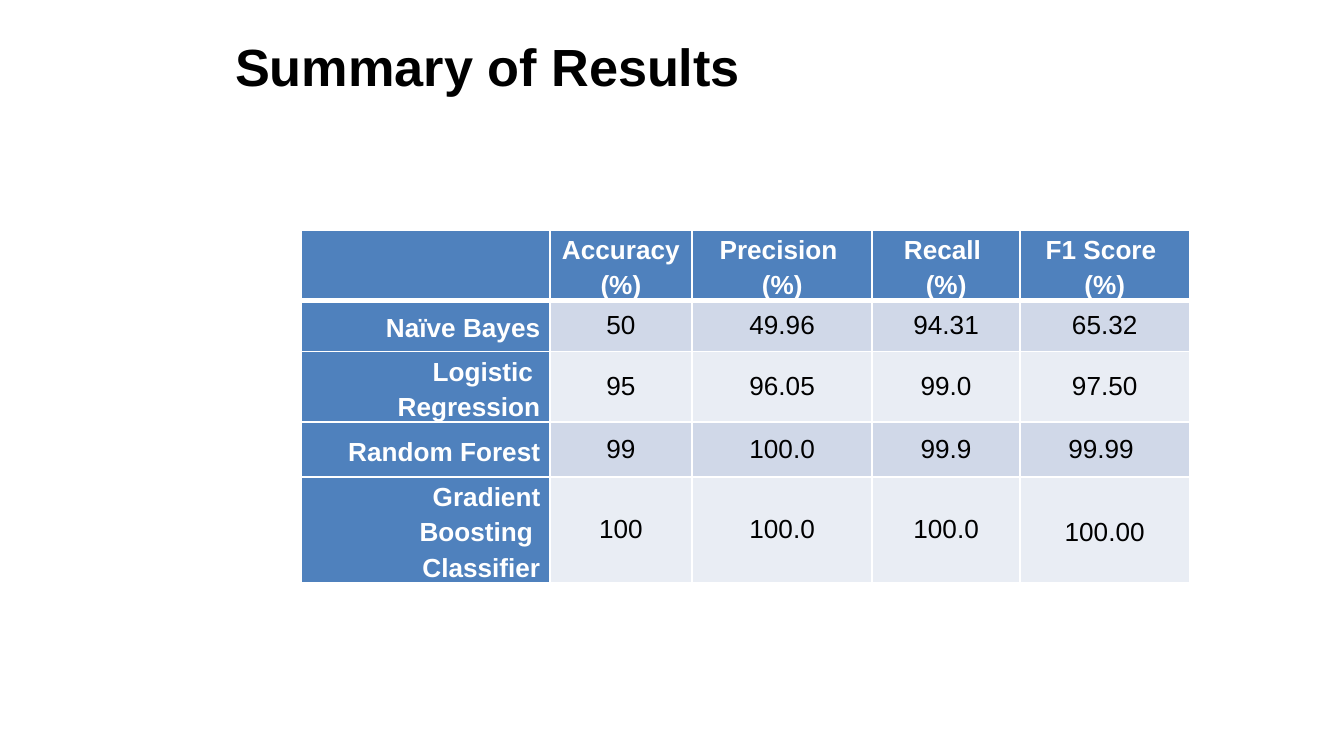
from lxml import etree
from pptx import Presentation
from pptx.dml.color import RGBColor
from pptx.enum import text
from pptx.oxml.ns import qn
from pptx.util import Inches, Pt

BLACK = RGBColor(0x00, 0x00, 0x00)
WHITE = RGBColor(0xFF, 0xFF, 0xFF)
HEADER_BLUE = RGBColor(0x4F, 0x81, 0xBD)
BANDS = RGBColor(0xD0, 0xD8, 0xE8), RGBColor(0xE9, 0xED, 0xF4)

LEFT, CENTER, RIGHT = (
    text.PP_ALIGN.LEFT, text.PP_ALIGN.CENTER, text.PP_ALIGN.RIGHT)

COL_WIDTHS = [1.85, 1.06, 1.34, 1.1, 1.26]
ROW_HEIGHTS = [0.5, 0.38, 0.5, 0.41, 0.5]
ROWS = [
    ["", "Accuracy(%)", "Precision \n(%)", "Recall \n(%)", "F1 Score \n(%)"],
    ["Naïve Bayes", "50", "49.96", "94.31", "65.32"],
    ["Logistic \nRegression", "95", "96.05", "99.0", "97.50"],
    ["Random Forest", "99", "100.0", "99.9", "99.99 "],
    ["Gradient Boosting \nClassifier", "100", "100.0", "100.0", "100.00"],
]


def write_text(tf, content, size=14, color=BLACK, bold=False, align=CENTER,
               spacing=None):
    """Fill a text frame, one paragraph for each line of content."""
    for i, line in enumerate(content.split("\n")):
        p = tf.paragraphs[0] if i == 0 else tf.add_paragraph()
        p.alignment = align
        p.line_spacing = spacing
        r = p.add_run()
        r.text = line
        r.font.name = "Arial"
        r.font.size = Pt(size)
        r.font.bold = bold
        r.font.color.rgb = color


def add_borders(cell, bottom=1):
    """Draw white cell borders; bottom is the lower line's width in points."""
    tc_pr = cell._tc.get_or_add_tcPr()
    for tag, width in (("lnL", 1), ("lnR", 1), ("lnT", 1), ("lnB", bottom)):
        ln = etree.SubElement(tc_pr, qn(f"a:{tag}"), w=str(Pt(width)))
        fill = etree.SubElement(ln, qn("a:solidFill"))
        etree.SubElement(fill, qn("a:srgbClr"), val=str(WHITE))


def format_cell(cell, content, row, col):
    is_header = row == 0 or col == 0
    cell.margin_left = Inches(0.1 if col == 0 else 0.07)
    cell.margin_right = Inches(0.07)
    cell.margin_top = cell.margin_bottom = 0
    cell.vertical_anchor = text.MSO_ANCHOR.MIDDLE
    add_borders(cell, bottom=3 if row == 0 else 1)
    cell.fill.solid()
    cell.fill.fore_color.rgb = HEADER_BLUE if is_header else BANDS[(row - 1) % 2]
    if content:
        write_text(cell.text_frame, content,
                   color=WHITE if is_header else BLACK,
                   bold=is_header,
                   align=RIGHT if col == 0 else CENTER,
                   spacing=1.2 if is_header or content == "100.00" else None)


def add_results_table(s):
    table = s.shapes.add_table(
        len(ROWS), len(COL_WIDTHS), Inches(2.24), Inches(1.71),
        Inches(sum(COL_WIDTHS)), Inches(sum(ROW_HEIGHTS))).table
    for column, width in zip(table.columns, COL_WIDTHS):
        column.width = Inches(width)
    for i, (values, height) in enumerate(zip(ROWS, ROW_HEIGHTS)):
        table.rows[i].height = Inches(height)
        for j, value in enumerate(values):
            format_cell(table.cell(i, j), value, i, j)


def set_title(s, content):
    title = s.shapes.title
    title.left, title.top = Inches(1.65), Inches(0)
    title.width, title.height = Inches(8.23), Inches(0.97)
    tf = title.text_frame
    tf.auto_size = text.MSO_AUTO_SIZE.NONE
    tf.vertical_anchor = text.MSO_ANCHOR.MIDDLE
    write_text(tf, content, size=28, bold=True, align=LEFT)


def main():
    prs = Presentation()
    prs.slide_width = Inches(10)
    prs.slide_height = prs.slide_width * 9 // 16
    s = prs.slides.add_slide(prs.slide_layouts[5])
    set_title(s, "Summary of Results")
    add_results_table(s)
    prs.save("out.pptx")


if __name__ == "__main__":
    main()
